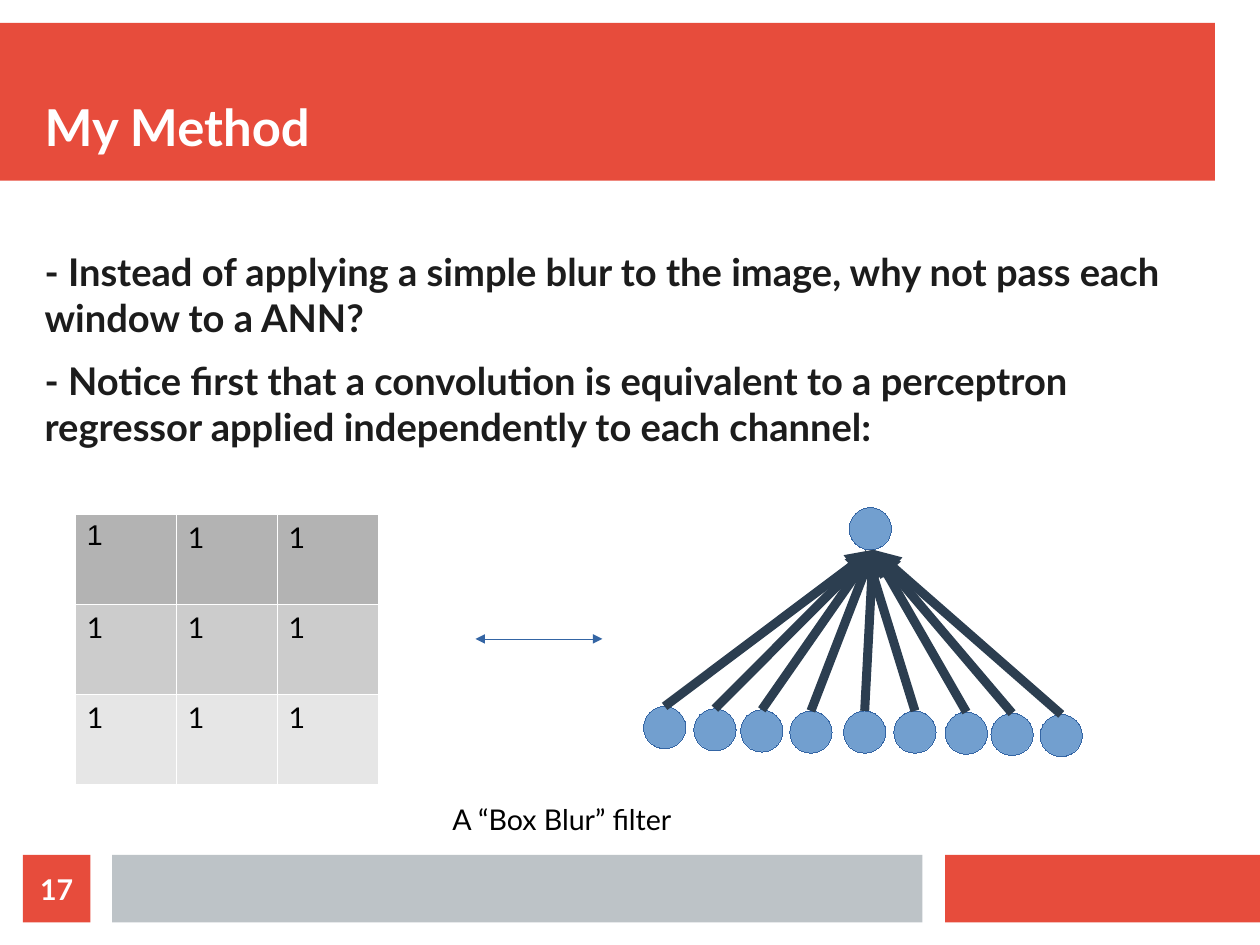
from lxml.etree import SubElement
from pptx import Presentation
from pptx.dml.color import RGBColor
from pptx.enum.shapes import MSO_CONNECTOR, MSO_SHAPE
from pptx.enum.text import MSO_ANCHOR, MSO_AUTO_SIZE, PP_ALIGN
from pptx.oxml.ns import qn
from pptx.util import Cm, Inches, Pt

RED, GREY, WHITE, BLACK = "E74C3C", "BDC3C7", "FFFFFF", "000000"
NODE, OUTLINE, NAVY = "729FCF", "3465A4", "2C3E50"
ROW_FILLS = ["B3B3B3", "CCCCCC", "E6E6E6"]
NODE_SIZE = 0.37
INPUTS = [(0, 1.74), (0.44, 1.76), (0.85, 1.77), (1.28, 1.78), (1.75, 1.78),
          (2.19, 1.78), (2.64, 1.79), (3.04, 1.8), (3.47, 1.81)]


def color(value):
    return RGBColor.from_string(value)


def place(sp, x, y, w, h):
    sp.left, sp.top, sp.width, sp.height = (Inches(v) for v in (x, y, w, h))


def style(p, size, value, bold=False, name="Lato"):
    for r in p.runs:
        r.font.name = name
        r.font.size = Pt(size)
        r.font.bold = bold
        r.font.color.rgb = color(value)


def set_frame(tf, anchor=MSO_ANCHOR.TOP):
    tf.margin_left = tf.margin_right = tf.margin_top = tf.margin_bottom = 0
    tf.word_wrap = True
    tf.auto_size = MSO_AUTO_SIZE.NONE
    tf.vertical_anchor = anchor


def set_line(sp, value, width):
    sp.line.color.rgb = color(value)
    ln = sp.line._get_or_add_ln()
    ln.set("w", str(Pt(width)))
    return ln


def add_filled(s, kind, x, y, w, h, fill, line=None):
    sp = s.shapes.add_shape(kind, Inches(x), Inches(y), Inches(w), Inches(h))
    sp.shadow.inherit = False
    sp.fill.solid()
    sp.fill.fore_color.rgb = color(fill)
    if line:
        set_line(sp, line, 0)
    else:
        sp.line.fill.background()
    return sp


def add_arrow(s, start, end, value, width, ends):
    cx = s.shapes.add_connector(MSO_CONNECTOR.STRAIGHT,
                                *(Inches(v) for v in start + end))
    ln = set_line(cx, value, width)
    for tag in ends:
        SubElement(ln, qn(tag), type="triangle")
    SubElement(cx._element.spPr, qn("a:effectLst"))


def add_header(s, x, y, w, h):
    title = s.shapes.title
    bar = add_filled(s, MSO_SHAPE.RECTANGLE, x, y, w, h, RED)
    title.element.addprevious(bar.element)
    place(title, x + 0.39, y + 0.19, w - 0.39, 0.98)
    tf = title.text_frame
    tf.text = "My Method"
    set_frame(tf, MSO_ANCHOR.BOTTOM)
    tf.paragraphs[0].alignment = PP_ALIGN.LEFT
    style(tf.paragraphs[0], 32, WHITE, True)


def add_body(s, x, y, w, h):
    body = s.placeholders[1]
    place(body, x, y, w, h)
    tf = body.text_frame
    tf.text = ("- Instead of applying a simple blur to the image, why not pass each window to a ANN?\n"
               "- Notice first that a convolution is equivalent to a perceptron regressor "
               "applied independently to each channel:")
    set_frame(tf)
    for p in tf.paragraphs:
        pPr = p._p.get_or_add_pPr()
        pPr.set("marL", "0")
        pPr.set("indent", "0")
        SubElement(pPr, qn("a:buNone"))
        p.space_before = Pt(0)
        p.space_after = Pt(11.4)
        style(p, 24.06, "1C1C1C", True)


def add_borders(cell):
    tcPr = cell._tc.get_or_add_tcPr()
    for side in ("a:lnL", "a:lnR", "a:lnT", "a:lnB"):
        ln = SubElement(tcPr, qn(side), w=str(Pt(0.06)))
        SubElement(SubElement(ln, qn("a:solidFill")), qn("a:srgbClr"), val=WHITE)


def add_kernel(s, x, y, w, h):
    table = s.shapes.add_table(3, 3, Inches(x), Inches(y), Inches(w), Inches(h)).table
    for i, fill in enumerate(ROW_FILLS):
        table.rows[i].height = Inches(h / 3)
        table.columns[i].width = Inches(w / 3)
        for j in range(3):
            cell = table.cell(i, j)
            cell.text_frame.text = "1"
            style(cell.text_frame.paragraphs[0], 18, BLACK,
                  name="Arial" if i == j == 0 else "Lato")
            add_borders(cell)
            cell.fill.solid()
            cell.fill.fore_color.rgb = color(fill)


def add_perceptron(s, x, y):
    for dx, dy in [(1.8, 0)] + INPUTS:
        add_filled(s, MSO_SHAPE.OVAL, x + dx, y + dy, NODE_SIZE, NODE_SIZE, NODE, OUTLINE)
    for i, (dx, dy) in enumerate(INPUTS):
        tip = 1.94 if i == 5 else 2.01
        add_arrow(s, (x + dx + NODE_SIZE / 2, y + dy), (x + tip, y + NODE_SIZE),
                  NAVY, 5.67, ["a:tailEnd"])


def add_caption(s, x, y, w, h):
    tf = s.shapes.add_textbox(Inches(x), Inches(y), Inches(w), Inches(h)).text_frame
    tf.text = "A “Box Blur” filter"
    tf.word_wrap = False
    tf.auto_size = MSO_AUTO_SIZE.SHAPE_TO_FIT_TEXT
    style(tf.paragraphs[0], 18, BLACK)


def add_footer(s, y, h):
    for x, w, fill in [(8.27, 2.76, RED), (0.98, 7.09, GREY)]:
        add_filled(s, MSO_SHAPE.RECTANGLE, x, y, w, h, fill)
    number = add_filled(s, MSO_SHAPE.RECTANGLE, 0.2, y, h, h, RED)
    tf = number.text_frame
    tf.text = "17"
    set_frame(tf, MSO_ANCHOR.MIDDLE)
    tf.paragraphs[0].alignment = PP_ALIGN.CENTER
    style(tf.paragraphs[0], 18, WHITE, True)


def main():
    prs = Presentation()
    prs.slide_width, prs.slide_height = Cm(28), Cm(21)
    s = prs.slides.add_slide(prs.slide_layouts[1])
    add_header(s, 0, 0.2, 10.63, 1.38)
    add_body(s, 0.39, 2.17, 10.04, 2.02)
    add_kernel(s, 0.66, 4.5, 2.65, 2.36)
    add_arrow(s, (4.16, 5.59), (5.27, 5.59), OUTLINE, 0, ["a:headEnd", "a:tailEnd"])
    add_perceptron(s, 5.63, 4.44)
    add_caption(s, 3.86, 6.97, 2.42, 0.44)
    add_footer(s, 7.48, 0.59)
    prs.save("out.pptx")


if __name__ == "__main__":
    main()
